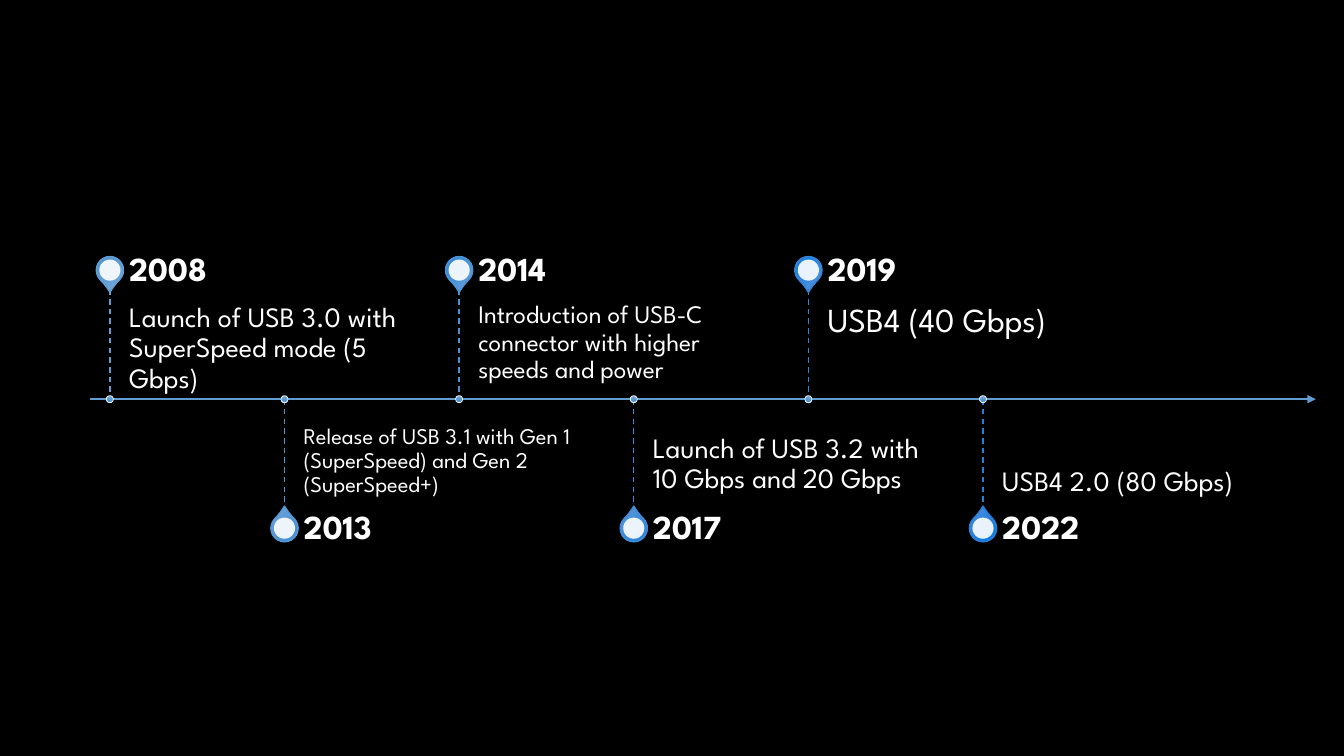
from lxml import etree
from pptx import Presentation
from pptx.dml.color import RGBColor
from pptx.enum.dml import MSO_LINE
from pptx.enum.shapes import MSO_CONNECTOR, MSO_SHAPE
from pptx.enum.text import MSO_ANCHOR
from pptx.oxml.ns import qn
from pptx.util import Inches, Pt

STRAIGHT = MSO_CONNECTOR.STRAIGHT
OVAL, TEARDROP = MSO_SHAPE.OVAL, MSO_SHAPE.TEAR
TOP, MIDDLE, BOTTOM = MSO_ANCHOR.TOP, MSO_ANCHOR.MIDDLE, MSO_ANCHOR.BOTTOM
DASH = MSO_LINE.DASH

FONT = "League Spartan"
COLORS = {"background": "000000", "white": "FFFFFF", "axis": "629DD1"}
DOT_GRADIENT = ("7EACD7", "5197D4", "4789C4")
STOPS = (0, 69, 100)

SLIDE_WIDTH, SLIDE_HEIGHT = 13.33, 7.5
AXIS_LEFT, AXIS_RIGHT, AXIS_Y = 0.89, 13.05, 3.96
FIRST_X, LAST_X = 1.09, 9.75
STEM, PIN_OFFSET = 1.09, 1.28
PIN_SIZE, EYE_SIZE, DOT_SIZE = 0.27, 0.21, 0.07
TEXT_GAP, TEXT_WIDTH, YEAR_HEIGHT = 0.19, 2.88, 0.38
INSET_PER_POINT = 0.007

MILESTONES = [
    ("2008", "Launch of USB 3.0 with SuperSpeed mode (5 Gbps)", 20,
     "629DD1", ("7EACD7", "5197D4", "4789C4")),
    ("2013", "Release of USB 3.1 with Gen 1 (SuperSpeed) and Gen 2 (SuperSpeed+)", 16,
     "5797D1", ("76A7D7", "4591D6", "3C84C5")),
    ("2014", "Introduction of USB-C connector with higher speeds and power", 18,
     "4C91D2", ("6EA1D8", "398CD8", "307FC8")),
    ("2017", "Launch of USB 3.2 with 10 Gbps and 20 Gbps", 20,
     "408BD3", ("679CD8", "2C86DB", "2579CA")),
    ("2019", "USB4 (40 Gbps)", 24,
     "3485D4", ("6197D9", "1B80E2", "1974CD")),
    ("2022", "USB4 2.0 (80 Gbps)", 20,
     "297FD5", ("5C92DA", "0F79E4", "0D6ECF")),
]


def rgb(color):
    return RGBColor.from_string(color)


def add_line(slide, start, end, color, width, dash=None, arrow=False):
    points = [Inches(value) for value in (*start, *end)]
    connector = slide.shapes.add_connector(STRAIGHT, *points)
    connector.line.color.rgb = rgb(color)
    connector.line.width = Pt(width)
    if dash:
        connector.line.dash_style = dash
    if arrow:
        etree.SubElement(connector.line._get_or_add_ln(), qn("a:tailEnd"), type="triangle")
    etree.SubElement(connector._element.spPr, qn("a:effectLst"))


def add_centred_shape(slide, kind, x, y, size):
    shape = slide.shapes.add_shape(
        kind, Inches(x - size / 2), Inches(y - size / 2), Inches(size), Inches(size))
    shape.shadow.inherit = False
    return shape


def set_gradient(shape, colors):
    shape.fill.gradient()
    shape.fill.gradient_angle = 270
    stop_list = shape._element.spPr.find(".//" + qn("a:gsLst"))
    for stop in list(stop_list):
        stop_list.remove(stop)
    for position, color in zip(STOPS, colors):
        stop = etree.SubElement(stop_list, qn("a:gs"), pos=str(position * 1000))
        etree.SubElement(stop, qn("a:srgbClr"), val=color)


def set_outline(shape, color, width):
    shape.line.color.rgb = rgb(color)
    shape.line.width = Pt(width)


def add_pin(slide, x, y, rotation, color, gradient):
    pin = add_centred_shape(slide, TEARDROP, x, y, PIN_SIZE)
    pin.adjustments[0] = 1.15
    pin.rotation = rotation
    set_gradient(pin, gradient)
    set_outline(pin, color, 1)

    eye = add_centred_shape(slide, OVAL, x, y, EYE_SIZE)
    eye.fill.solid()
    eye.fill.fore_color.rgb = rgb(COLORS["white"])
    eye_color = eye._element.spPr.find(".//" + qn("a:srgbClr"))
    etree.SubElement(eye_color, qn("a:alpha"), val="90000")
    eye.line.fill.background()


def add_dot(slide, x, y):
    dot = add_centred_shape(slide, OVAL, x, y, DOT_SIZE)
    set_gradient(dot, DOT_GRADIENT)
    set_outline(dot, COLORS["white"], 0.5)


def add_text(slide, text, x, y, height, size, anchor, insets, bold=False):
    box = slide.shapes.add_textbox(Inches(x), Inches(y), Inches(TEXT_WIDTH), Inches(height))
    frame = box.text_frame
    frame.word_wrap = True
    frame.vertical_anchor = anchor
    (frame.margin_left, frame.margin_top,
     frame.margin_right, frame.margin_bottom) = [Inches(inset) for inset in insets]
    paragraph = frame.paragraphs[0]
    paragraph.text = text
    paragraph.line_spacing = 0.9
    paragraph.font.name = FONT
    paragraph.font.size = Pt(size)
    paragraph.font.bold = bold
    paragraph.font.color.rgb = rgb(COLORS["white"])


def add_milestone(slide, x, above, milestone):
    year, description, size, color, gradient = milestone
    direction = -1 if above else 1
    pin_y = AXIS_Y + direction * PIN_OFFSET
    stem_end = AXIS_Y + direction * STEM
    text_x = x + TEXT_GAP
    inset = size * INSET_PER_POINT
    if above:
        anchor, insets = TOP, (0, inset, inset, 1.5 * inset)
    else:
        anchor, insets = BOTTOM, (0, 1.5 * inset, 0, inset)

    add_pin(slide, x, pin_y, 135 if above else 315, color, gradient)
    add_text(slide, description, text_x, min(AXIS_Y, stem_end), STEM, size, anchor, insets)
    add_text(slide, year, text_x, pin_y - YEAR_HEIGHT / 2, YEAR_HEIGHT, 24, MIDDLE,
             (0, 0, 0.17, 0), bold=True)
    add_line(slide, (x, min(AXIS_Y, stem_end)), (x, max(AXIS_Y, stem_end)), color, 1, dash=DASH)
    add_dot(slide, x, AXIS_Y)


def main():
    presentation = Presentation()
    presentation.slide_width = Inches(SLIDE_WIDTH)
    presentation.slide_height = Inches(SLIDE_HEIGHT)
    slide = presentation.slides.add_slide(presentation.slide_layouts[6])
    slide.background.fill.solid()
    slide.background.fill.fore_color.rgb = rgb(COLORS["background"])

    add_line(slide, (AXIS_LEFT, AXIS_Y), (AXIS_RIGHT, AXIS_Y), COLORS["axis"], 1.5, arrow=True)
    column = (LAST_X - FIRST_X) / (len(MILESTONES) - 1)
    for index, milestone in enumerate(MILESTONES):
        add_milestone(slide, FIRST_X + index * column, index % 2 == 0, milestone)

    presentation.save("out.pptx")


if __name__ == "__main__":
    main()
